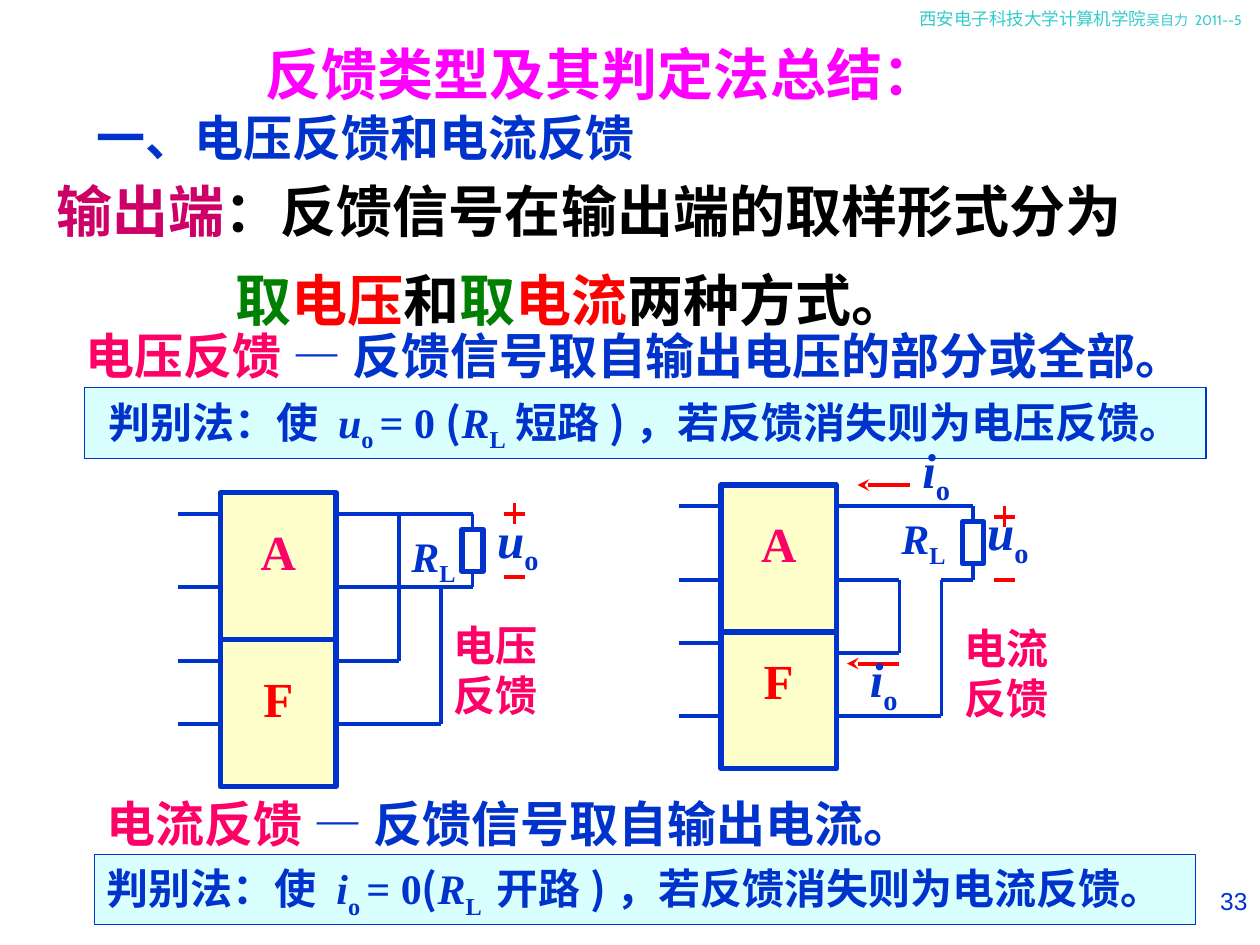
from dataclasses import dataclass

from pptx import Presentation
from pptx.dml.color import RGBColor
from pptx.enum.shapes import MSO_CONNECTOR, MSO_SHAPE
from pptx.enum.text import MSO_ANCHOR, MSO_AUTO_SIZE, PP_ALIGN
from pptx.oxml.ns import qn
from pptx.util import Pt

LEFT, CENTER, RIGHT, JUSTIFY = PP_ALIGN.LEFT, PP_ALIGN.CENTER, PP_ALIGN.RIGHT, PP_ALIGN.JUSTIFY
TOP, NO_FIT = MSO_ANCHOR.TOP, MSO_AUTO_SIZE.NONE
RECTANGLE, STRAIGHT = MSO_SHAPE.RECTANGLE, MSO_CONNECTOR.STRAIGHT


@dataclass(frozen=True)
class Theme:
    blue: str = "0033CC"
    pink: str = "FF0066"
    red: str = "FF0000"
    green: str = "008000"
    black: str = "000000"
    crimson: str = "CC0066"
    magenta: str = "FF00FF"
    teal: str = "33CCCC"
    pale_cyan: str = "D9FFFF"
    cream: str = "FFFFCC"
    white: str = "FFFFFF"
    title: int = 32
    heading: int = 28
    label: int = 24
    number: int = 14
    header: int = 10
    small: int = 8
    hanzi: str = "Noto Sans CJK SC"
    serif: str = "Times New Roman"
    sans: str = "Arial"
    header_font: str = "Cabin"
    wire: float = 2.25
    outline: float = 3
    frame: float = 0.75
    leading: float = 1.32


THEME = Theme()
SYMBOL = {"font": THEME.serif, "italic": True}
SUBSCRIPT = {"font": THEME.serif, "subscript": True}


def add_span(para, text, font=THEME.hanzi, size=THEME.label, color=THEME.blue,
             bold=True, italic=False, subscript=False):
    span = para.add_run()
    span.text = text
    span.font.size, span.font.bold, span.font.italic = Pt(size), bold, italic
    span.font.color.rgb = RGBColor.from_string(color)
    span.font.name = font
    properties = span.font._element
    properties.makeelement(qn("a:ea"), {})
    east_asian = properties.makeelement(qn("a:ea"), {"typeface": THEME.hanzi})
    properties.find(qn("a:latin")).addnext(east_asian)
    if subscript:
        properties.set("baseline", "-25000")


def fill_text(box, lines, align=LEFT, leading=None, before=0, top_inset=3.6, **style):
    """Write lines of (text, format) spans; style applies to every span."""
    frame = box.text_frame
    frame.auto_size, frame.word_wrap, frame.vertical_anchor = NO_FIT, True, TOP
    frame.margin_left = frame.margin_right = Pt(7.2)
    frame.margin_top, frame.margin_bottom = Pt(top_inset), Pt(3.6)
    for index, spans in enumerate(lines):
        para = frame.add_paragraph() if index else frame.paragraphs[0]
        para.alignment = align
        para.space_before = Pt(before if index else 0)
        if leading:
            para.line_spacing = Pt(leading)
        for text, own in spans:
            add_span(para, text, **{**style, **own})


def place(shape, left, top, width, height):
    shape.left, shape.top, shape.width, shape.height = map(Pt, (left, top, width, height))


def add_text(page, box, lines, **style):
    fill_text(page.shapes.add_textbox(*map(Pt, box)), lines, **style)


def add_box(page, box, fill, line_width):
    shape = page.shapes.add_shape(RECTANGLE, *map(Pt, box))
    shape.shadow.inherit = False
    shape.fill.solid()
    shape.fill.fore_color.rgb = RGBColor.from_string(fill)
    shape.line.color.rgb = RGBColor.from_string(THEME.blue)
    shape.line.width = Pt(line_width)
    return shape


def add_line(page, x1, y1, x2, y2, color=THEME.blue, arrow=False):
    line = page.shapes.add_connector(STRAIGHT, *map(Pt, (x1, y1, x2, y2)))
    line.line.color.rgb = RGBColor.from_string(color)
    line.line.width = Pt(THEME.wire)
    if arrow:
        stroke = line.line._ln
        stroke.append(stroke.makeelement(qn("a:tailEnd"), {"type": "stealth"}))
    properties = line._element.spPr
    properties.append(properties.makeelement(qn("a:effectLst"), {}))


def add_opening(page):
    """Running header, title, heading and introduction."""
    add_text(page, (518.4, 0, 201.6, 28.8),
             [[("西安电子科技大学计算机学院", {}), ("吴自力 2011--5", {"size": THEME.small})]],
             leading=THEME.header * THEME.leading, font=THEME.header_font,
             size=THEME.header, color=THEME.teal, bold=False)
    title = page.shapes.title
    place(title, 144.7, 15.1, 414, 46)
    fill_text(title, [[("反馈类型及其判定法总结：", {})]], align=JUSTIFY,
              leading=THEME.title * THEME.leading, size=THEME.title, color=THEME.magenta)
    add_text(page, (48.2, 54.7, 426, 41), [[("一、电压反馈和电流反馈", {})]],
             leading=THEME.heading * THEME.leading, size=THEME.heading)

    body = page.placeholders[1]
    place(body, 25.2, 88.6, 657.4, 100)
    take, quantity = {"color": THEME.green}, {"color": THEME.red}
    fill_text(body, [
        [("输出端", {"color": THEME.crimson}), ("：反馈信号在输出端的取样形式分为", {})],
        [("取", take), ("电压", quantity), ("和", {}), ("取", take), ("电流", quantity),
         ("两种方式。", {})],
    ], align=JUSTIFY, leading=47, before=4, font=THEME.sans, size=THEME.title, color=THEME.black)
    for para, indent in zip(body.text_frame.paragraphs, (0, 102)):
        properties = para._p.get_or_add_pPr()
        properties.set("marL", str(Pt(indent)))
        properties.set("indent", "0")
        properties.append(properties.makeelement(qn("a:buNone"), {}))


def add_definition(page, box, term, meaning):
    add_text(page, box, [[(term + " ", {"color": THEME.pink}), ("— " + meaning, {})]],
             leading=THEME.heading * THEME.leading, size=THEME.heading)


def add_test(page, box, symbol, equals, load_gap, action, kind, align):
    """Framed test: set the symbol to zero and see if feedback vanishes."""
    serif = {"font": THEME.serif}
    spans = [("判别法：使 ", serif), (symbol, SYMBOL), ("o ", SUBSCRIPT), (equals, serif),
             ("(", {}), ("R", SYMBOL), ("L" + load_gap, SUBSCRIPT),
             (f"{action})，若反馈消失则为{kind}反馈。", {})]
    fill_text(add_box(page, box, THEME.pale_cyan, THEME.frame), [spans], align=align, leading=34)


def add_symbol(page, box, letter, index, size=THEME.heading):
    add_text(page, box, [[(letter, SYMBOL), (index, SUBSCRIPT)]], size=size)


def add_circuit(page, left, top, kind, shift, feedback_top, wires, arrows=()):
    """Blocks A and F with a load; shift moves the load's labels left and down."""
    def wire(x1, y1, x2, y2, **style):
        add_line(page, left + x1, top + y1, left + x2, top + y2, **style)

    def area(x, y, width, height):
        return left + x, top + y, width, height

    # Blocks, F behind A
    for name, y, color in (("F", feedback_top, THEME.red), ("A", 0, THEME.pink)):
        block = add_box(page, area(24, y, 66, 84), THEME.cream, THEME.outline)
        fill_text(block, [[(name, {})]], align=CENTER, top_inset=16.5,
                  font=THEME.serif, size=THEME.heading, color=color)
    # Input leads and output wires
    for y in (12, 54, feedback_top + 12, 132):
        wire(0, y, 24, y)
    for ends in ((90, 12, 168, 12), (168, 12, 168, 54), (90, 96, 126, 96),
                 (90, 132, 150, 132), (150, 54, 150, 132), *wires):
        wire(*ends)
    # Load and its polarity
    add_box(page, area(162, 21, 12, 24), THEME.white, THEME.outline)
    add_symbol(page, area(126 - shift, 18 - shift, 54, 40), "R", "L", THEME.label)
    x, y = 186 - shift, 12 + shift
    for ends in ((x, y, x + 12, y), (x + 6, y - 6, x + 6, y + 6), (x, y + 36, x + 12, y + 36)):
        wire(*ends, color=THEME.red)
    add_symbol(page, area(175 - shift, 6, 44, 45), "u", "o")
    # Sampled current
    for x1, x2, y, label_x, label_y in arrows:
        wire(x1, y, x2, y, color=THEME.red, arrow=True)
        add_symbol(page, area(label_x, label_y, 42, 45), "i", "o")
    # Kind of feedback
    add_text(page, area(150 + shift, 69 + shift, 84, 65), [[(kind, {})], [("反馈", {})]],
             leading=28.8, color=THEME.pink)


def main():
    deck = Presentation()
    deck.slide_width, deck.slide_height = Pt(720), Pt(540)
    page = deck.slides.add_slide(deck.slide_layouts[1])
    add_opening(page)
    add_definition(page, (41.8, 179.3, 678, 41), "电压反馈", "反馈信号取自输出电压的部分或全部。")
    add_test(page, (48.2, 221.6, 641, 40.3), "u", "= 0 ", "", "短路", "电压", CENTER)
    add_definition(page, (54, 446.4, 492, 41), "电流反馈", "反馈信号取自输出电流。")
    add_test(page, (54, 488.2, 629, 40.3), "i", "= 0", " ", "开路", "电流", LEFT)
    add_circuit(page, 102, 281.5, "电压", 0, 84,
                [(126, 12, 126, 96), (90, 54, 168, 54)])
    add_circuit(page, 388, 277.2, "电流", 6, 78,
                [(126, 54, 126, 96), (90, 54, 126, 54), (150, 54, 168, 54)],
                [(132, 102, 0, 132, -29.5), (126, 96, 102, 102, 90)])
    # Page number
    add_text(page, (540, 502.6, 180, 37.4), [[("33", {})]], align=RIGHT,
             font=THEME.sans, size=THEME.number, bold=False)
    deck.save("out.pptx")


if __name__ == "__main__":
    main()
